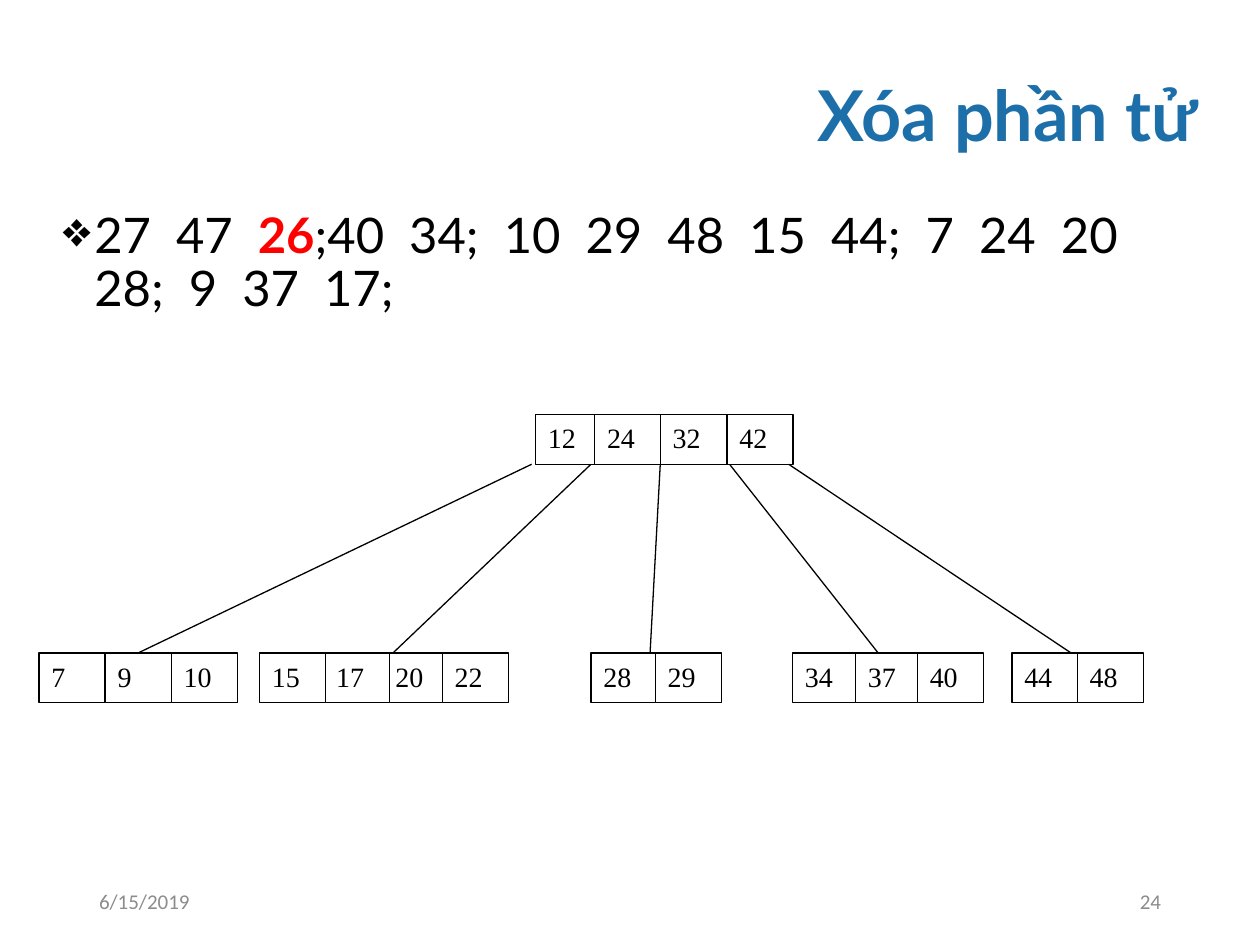
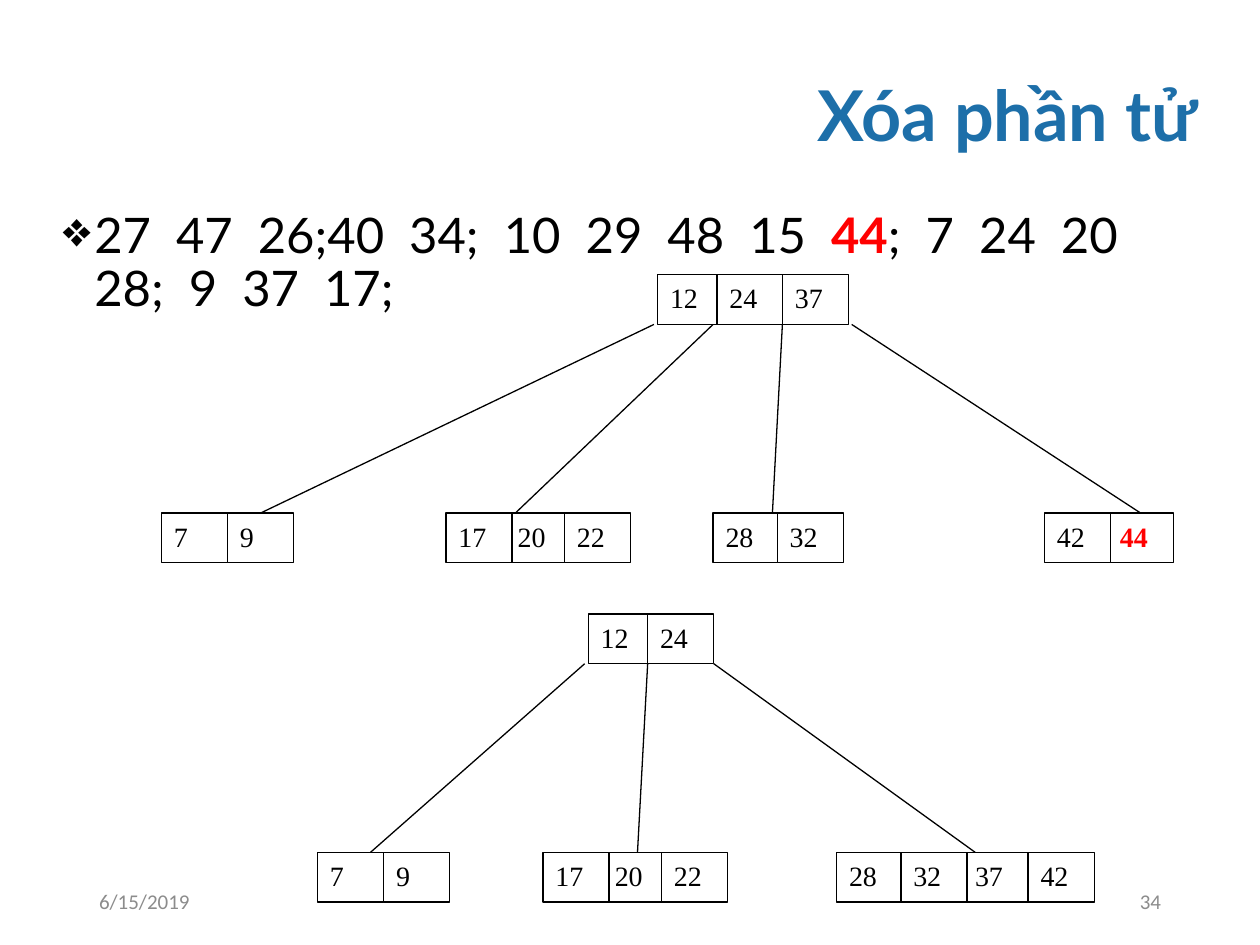
from lxml import etree
from pptx import Presentation
from pptx import util as u
from pptx.dml.color import RGBColor
from pptx.enum import shapes, text
from pptx.oxml import ns

COLORS = {"title": "1D6FA9", "ink": "000000", "removed": "FF0000",
          "footer": "8C8C8C", "cell": "FFFFFF"}
HEADING = "Xóa phần tử"
DATE = "6/15/2019"
SEQUENCE = "27 47 26;40 34; 10 29 48 15 44; 7 24 20 28; 9 37 17;"
WIDE_GAP = chr(160) + " "
CELL_W, CELL_H = 37.8, 28.4
LEVEL_GAP = 136.2  # from the top of a root to the top of its leaves

# Each node maps its keys to their left edges; later keys cover earlier ones.
# Each edge is (start x, end x, leaf key joined at its top, or None).
FULL_TREE = {
    "top": 236.9,
    "root": {"12": 306, "24": 339.8, "32": 377.3, "42": 415.4},
    "leaves": [
        {"7": 22.3, "9": 60.1, "10": 97.9},
        {"20": 218.9, "17": 185, "15": 148.3, "22": 252.7},
        {"28": 337.7, "29": 374.4},
        {"34": 452.9, "37": 488.9, "40": 524.2},
        {"44": 578.2, "48": 615.6},
    ],
    "edges": [(303.8, 79, "9"), (337.7, 224.6, None), (377.3, 371.5, None),
              (416.9, 501.8, None), (450.7, 612, None)],
}
BEFORE_MERGE = {
    "top": 157,
    "root": {"12": 375.8, "24": 409.7, "37": 447.1},
    "leaves": [
        {"7": 92.2, "9": 130},
        {"20": 288.7, "17": 254.9, "22": 322.6},
        {"28": 407.5, "32": 444.2},
        {"44": 632.9, "42": 596.9},
    ],
    "edges": [(373.7, 149, "9"), (407.5, 294.5, None),
              (447.1, 441.4, None), (486.7, 651.8, "44")],
}
AFTER_MERGE = {
    "top": 350.9,
    "root": {"12": 336.2, "24": 370.1},
    "leaves": [
        {"7": 181.4, "9": 219.2},
        {"20": 344.2, "17": 310.3, "22": 378},
        {"37": 550.1, "28": 478.1, "32": 514.8, "42": 587.5},
    ],
    "edges": [(334.1, 211.7, None), (370.1, 364.3, None), (407.9, 557.3, None)],
}


def rgb(name):
    return RGBColor.from_string(COLORS[name])


def style(run, font, size, color, bold=False):
    run.font.name = font
    run.font.size = u.Pt(size)
    run.font.bold = bold
    run.font.color.rgb = rgb(color)


def add_text(slide, box, anchor, align=text.PP_ALIGN.LEFT):
    """Add a wrapping text box and return its first paragraph."""
    frame = slide.shapes.add_textbox(*map(u.Pt, box)).text_frame
    frame.word_wrap = True
    frame.vertical_anchor = anchor
    frame.paragraphs[0].alignment = align
    return frame.paragraphs[0]


def add_heading(slide):
    heading = add_text(slide, (28.8, 28.8, 662.4, 77.8),
                       text.MSO_ANCHOR.MIDDLE, text.PP_ALIGN.RIGHT)
    heading.text = HEADING
    heading.line_spacing = 0.9
    style(heading.runs[0], "Lato", 40, "title", bold=True)


def add_sequence(slide, removed):
    """Write the keys to delete, with the current one in red."""
    sequence = add_text(slide, (28.8, 117.4, 662.4, 372.2), text.MSO_ANCHOR.TOP)
    sequence.line_spacing = 0.9
    sequence.space_before = u.Pt(10)
    props = sequence._p.get_or_add_pPr()
    props.set("marL", str(u.Pt(18)))
    props.set("indent", str(-u.Pt(18)))
    etree.SubElement(props, ns.qn("a:buChar")).set("char", "❖")
    before, after = SEQUENCE.split(removed)
    for part in (before, removed, after):
        run = sequence.add_run()
        run.text = part.replace(" ", WIDE_GAP)
        current = part == removed
        style(run, "Lato", 28, "removed" if current else "ink", current)


def add_footer(slide, number):
    for label, left, align in ((DATE, 49.5, text.PP_ALIGN.LEFT),
                               (number, 508.5, text.PP_ALIGN.RIGHT)):
        footer = add_text(slide, (left, 500.5, 162, 28.75),
                          text.MSO_ANCHOR.MIDDLE, align)
        footer.text = label
        style(footer.runs[0], "Calibri", 12, "footer")


def add_node(slide, top, keys, removed):
    """Draw one tree node and return its cells by key."""
    cells = {}
    for key, left in keys.items():
        cell = slide.shapes.add_shape(shapes.MSO_SHAPE.RECTANGLE, u.Pt(left),
                                      u.Pt(top), u.Pt(CELL_W), u.Pt(CELL_H))
        cell.shadow.inherit = False
        cell.fill.solid()
        cell.fill.fore_color.rgb = rgb("cell")
        cell.line.color.rgb = rgb("ink")
        cell.line.width = u.Pt(0.75)
        cell.text_frame.vertical_anchor = text.MSO_ANCHOR.TOP
        label = cell.text_frame.paragraphs[0]
        label.text = key
        label.alignment = text.PP_ALIGN.LEFT
        current = key == removed
        style(label.runs[0], "Times New Roman", 16,
              "removed" if current else "ink", current)
        cells[key] = cell
    return cells


def add_edge(slide, start, end, leaf_cell=None):
    edge = slide.shapes.add_connector(shapes.MSO_CONNECTOR.STRAIGHT,
                                      *map(u.Pt, start + end))
    edge.line.color.rgb = rgb("ink")
    edge.line.width = u.Pt(0.75)
    etree.SubElement(edge._element.spPr, ns.qn("a:effectLst"))
    if leaf_cell is not None:
        edge.end_connect(leaf_cell, 0)


def add_tree(slide, tree, removed):
    root_top = tree["top"]
    leaf_top = root_top + LEVEL_GAP
    add_node(slide, root_top, tree["root"], removed)
    for keys, (start_x, end_x, joined) in zip(tree["leaves"], tree["edges"]):
        cells = add_node(slide, leaf_top, keys, removed)
        add_edge(slide, (start_x, root_top + CELL_H), (end_x, leaf_top),
                 cells.get(joined))


def main():
    deck = Presentation()
    deck.slide_width, deck.slide_height = u.Pt(720), u.Pt(540)
    steps = [("26", "24", [FULL_TREE]),
             ("44", "34", [BEFORE_MERGE, AFTER_MERGE])]
    for removed, number, trees in steps:
        slide = deck.slides.add_slide(deck.slide_layouts[6])
        add_heading(slide)
        add_sequence(slide, removed)
        add_footer(slide, number)
        for tree in trees:
            add_tree(slide, tree, removed)
    deck.save("out.pptx")


if __name__ == "__main__":
    main()
